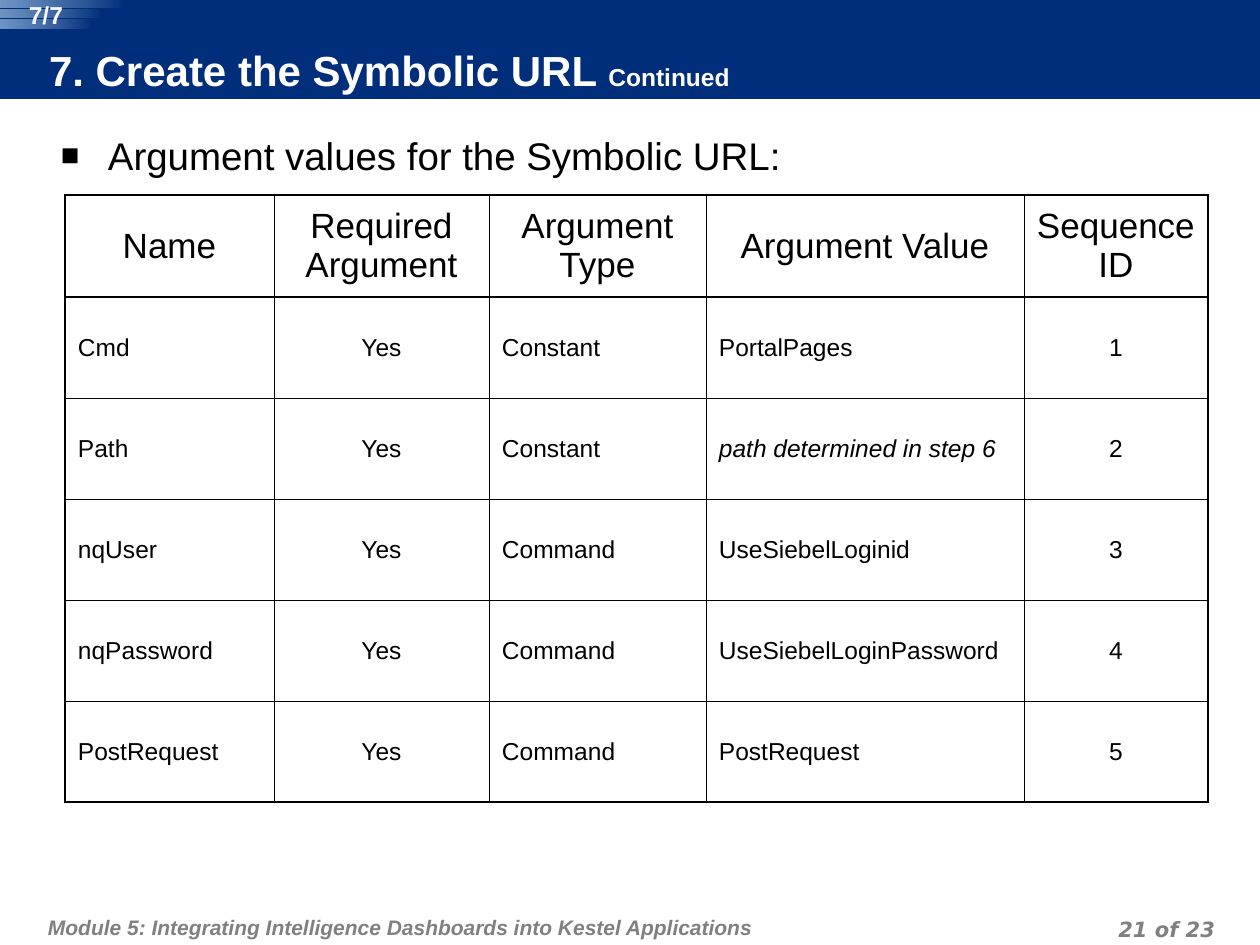
from typing import NamedTuple

from lxml.etree import SubElement
from pptx import Presentation
from pptx.dml.color import RGBColor
from pptx.enum.shapes import MSO_SHAPE
from pptx.enum.text import MSO_ANCHOR, MSO_AUTO_SIZE, PP_ALIGN
from pptx.oxml import parse_xml
from pptx.oxml.ns import nsdecls, qn
from pptx.util import Emu, Pt

EMU_PER_PX = 914400 / 126
NAVY, PALE_BLUE, WHITE, BLACK, GREY = "002E7A", "90B5DA", "FFFFFF", "000000", "808080"
THIN, OUTER, HEADER_RULE = 0.45, 1.08, 1.47


class Area(NamedTuple):
    left: int
    top: int
    width: int
    height: int


class Style(NamedTuple):
    size: int
    color: str
    bold: bool = False
    italic: bool = False
    font: str = "Arial"


class Column(NamedTuple):
    heading: str
    width: int
    align: PP_ALIGN


COLUMNS = [
    Column("Name", 209, PP_ALIGN.LEFT),
    Column("Required Argument", 215, PP_ALIGN.CENTER),
    Column("Argument Type", 217, PP_ALIGN.LEFT),
    Column("Argument Value", 318, PP_ALIGN.LEFT),
    Column("Sequence ID", 184, PP_ALIGN.CENTER),
]
ARGUMENTS = [
    ("Cmd", "Constant", "PortalPages"),
    ("Path", "Constant", "path determined in step 6"),
    ("nqUser", "Command", "UseSiebelLoginid"),
    ("nqPassword", "Command", "UseSiebelLoginPassword"),
    ("PostRequest", "Command", "PostRequest"),
]
ITALIC_VALUE = "path determined in step 6"
STRIPES = [Area(0, 0, 127, 8), Area(0, 10, 103, 8), Area(0, 20, 92, 9)]


def px(length: int) -> Emu:
    return Emu(round(length * EMU_PER_PX))


def rgb(color: str) -> RGBColor:
    return RGBColor.from_string(color)


def place(area: Area) -> list[Emu]:
    return [px(length) for length in area]


def format_span(span, style: Style) -> None:
    font = span.font
    font.name, font.size = style.font, Pt(style.size)
    font.bold, font.italic = style.bold, style.italic
    font.color.rgb = rgb(style.color)


def set_margins(frame, left: int, top: int, right: int, bottom: int) -> None:
    frame.margin_left, frame.margin_top = px(left), px(top)
    frame.margin_right, frame.margin_bottom = px(right), px(bottom)


def add_text(shapes, area: Area, text: str, style: Style, margins: tuple,
             align: PP_ALIGN = PP_ALIGN.LEFT):
    """Add a one-paragraph text box and return its paragraph."""
    frame = shapes.add_textbox(*place(area)).text_frame
    frame.word_wrap = True
    set_margins(frame, *margins)
    frame.text = text
    para = frame.paragraphs[0]
    para.alignment = align
    format_span(para.runs[0], style)
    return para


def add_rectangle(shapes, area: Area):
    box = shapes.add_shape(MSO_SHAPE.RECTANGLE, *place(area))
    box.shadow.inherit = False
    box.line.fill.background()
    return box


def add_title(page) -> None:
    title = page.shapes.title
    bar = add_rectangle(page.shapes, Area(0, 0, 1260, 99))
    bar.fill.solid()
    bar.fill.fore_color.rgb = rgb(NAVY)
    title.element.addprevious(bar.element)

    title.left, title.top, title.width, title.height = place(Area(49, 48, 992, 50))
    title.fill.solid()
    title.fill.fore_color.rgb = rgb(NAVY)
    frame = title.text_frame
    frame.auto_size = MSO_AUTO_SIZE.NONE
    frame.word_wrap = True
    frame.vertical_anchor = MSO_ANCHOR.MIDDLE
    set_margins(frame, 0, 0, 6, 6)
    para = frame.paragraphs[0]
    para.alignment = PP_ALIGN.LEFT
    for text, size in (("7. Create the Symbolic URL ", 24), ("Continued", 14)):
        span = para.add_run()
        span.text = text
        format_span(span, Style(size, WHITE, bold=True))


def add_step_marker(page) -> None:
    group = page.shapes.add_group_shape()
    for area in STRIPES:
        fill = add_rectangle(group.shapes, area).fill
        fill.gradient()
        fill.gradient_angle = 180
        for stop, color in zip(fill.gradient_stops, (NAVY, PALE_BLUE)):
            stop.color.rgb = rgb(color)
    # The pale end of each stripe is partly transparent.
    for color in group.element.iter(qn("a:srgbClr")):
        if color.get("val") == PALE_BLUE:
            SubElement(color, qn("a:alpha")).set("val", "76000")
    add_text(group.shapes, Area(14, 0, 64, 29), "7/7", Style(14, "F8F8F8", bold=True),
             (0, 0, 0, 0), PP_ALIGN.CENTER)


def add_bullet(page) -> None:
    para = add_text(page.shapes, Area(48, 119, 1172, 60),
                    "Argument values for the Symbolic URL:", Style(22, BLACK), (13, 13, 13, 6))
    properties = para._p.get_or_add_pPr()
    properties.set("marL", str(px(47)))
    properties.set("indent", str(-px(47)))
    color = SubElement(properties, qn("a:buClr"))
    SubElement(color, qn("a:srgbClr")).set("val", BLACK)
    SubElement(properties, qn("a:buSzPct")).set("val", "80000")
    SubElement(properties, qn("a:buFont")).set("typeface", "Arial")
    SubElement(properties, qn("a:buChar")).set("char", "■")


def set_borders(cell, left: float, right: float, top: float, bottom: float) -> None:
    properties = cell._tc.get_or_add_tcPr()
    for index, (side, width) in enumerate(zip("LRTB", (left, right, top, bottom))):
        properties.insert(index, parse_xml(
            f'<a:ln{side} {nsdecls("a")} w="{Pt(width)}"><a:solidFill>'
            f'<a:srgbClr val="{BLACK}"/></a:solidFill></a:ln{side}>'))


def add_argument_table(page) -> None:
    rows = [tuple(column.heading for column in COLUMNS)]
    for number, (name, kind, value) in enumerate(ARGUMENTS, start=1):
        rows.append((name, "Yes", kind, value, str(number)))
    last_row, last_column = len(rows) - 1, len(COLUMNS) - 1
    area = Area(65, 195, sum(column.width for column in COLUMNS), 607)
    table = page.shapes.add_table(len(rows), len(COLUMNS), *place(area)).table
    table.first_row = table.horz_banding = False
    for index, column in enumerate(COLUMNS):
        table.columns[index].width = px(column.width)

    for r, texts in enumerate(rows):
        table.rows[r].height = px(102 if r == 0 else 101)
        for c, text in enumerate(texts):
            cell = table.cell(r, c)
            cell.fill.background()
            cell.vertical_anchor = MSO_ANCHOR.MIDDLE
            set_margins(cell, 13, 6, 13, 6)
            cell.text_frame.text = text
            para = cell.text_frame.paragraphs[0]
            para.alignment = PP_ALIGN.CENTER if r == 0 else COLUMNS[c].align
            format_span(para.runs[0], Style(20 if r == 0 else 14, BLACK,
                                            italic=text == ITALIC_VALUE))
            set_borders(cell,
                        left=OUTER if c == 0 else THIN,
                        right=OUTER if c == last_column else THIN,
                        top={0: OUTER, 1: HEADER_RULE}.get(r, THIN),
                        bottom={0: HEADER_RULE, last_row: OUTER}.get(r, THIN))


def add_footer(page) -> None:
    module = add_text(page.shapes, Area(42, 895, 779, 50),
                      "Module 5: Integrating Intelligence Dashboards into Kestel Applications",
                      Style(12, GREY, bold=True, italic=True), (6, 13, 6, 6))
    number = add_text(page.shapes, Area(927, 910, 294, 32), "21 of 23",
                      Style(12, GREY, bold=True, italic=True, font="DejaVu Sans"),
                      (6, 0, 6, 0), PP_ALIGN.RIGHT)
    for para in (module, number):
        para.line_spacing = Pt(18)


def main() -> None:
    deck = Presentation()
    deck.slide_width, deck.slide_height = px(1260), px(945)
    page = deck.slides.add_slide(deck.slide_layouts[5])
    add_title(page)
    add_footer(page)
    add_bullet(page)
    add_step_marker(page)
    add_argument_table(page)
    deck.save("out.pptx")


if __name__ == "__main__":
    main()
